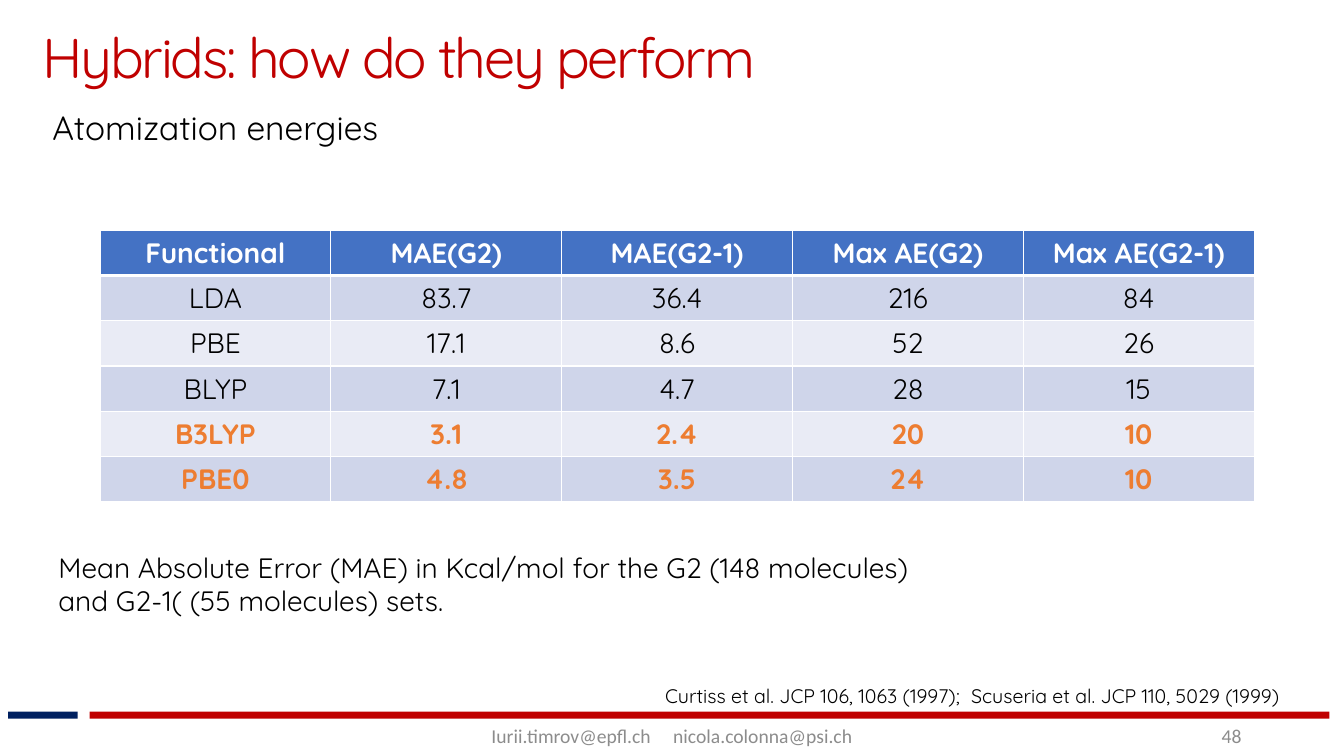
from typing import NamedTuple

from lxml.etree import SubElement
from pptx import Presentation
from pptx.dml.color import RGBColor
from pptx.enum.shapes import MSO_SHAPE
from pptx.enum.text import MSO_ANCHOR as Anchor
from pptx.enum.text import MSO_AUTO_SIZE as AutoSize
from pptx.enum.text import PP_ALIGN as Align
from pptx.oxml.ns import qn
from pptx.util import Pt

RED, NAVY, BLUE = "C00000", "002060", "4472C4"
BLACK, WHITE, GRAY, ORANGE = "000000", "FFFFFF", "8C8C8C", "ED7D31"
BANDS = ("CFD5EA", "E9EBF5")
ROW_HEIGHT = 28.8


class Box(NamedTuple):
    left: float
    top: float
    width: float
    height: float

    def lengths(self) -> list:
        return [Pt(value) for value in self]


class Bar(NamedTuple):
    box: Box
    color: str


class Label(NamedTuple):
    box: Box
    lines: list
    style: dict
    anchor: Anchor = Anchor.TOP
    wrap: bool = True


class Row(NamedTuple):
    values: tuple
    fill: str
    color: str = BLACK
    bold: bool = False
    line_below: float = 1


FOOTER = {"font": "Calibri", "size": 14, "color": GRAY}
BARS = [
    Bar(Box(5.8, 508.3, 49.7, 5), NAVY),
    Bar(Box(64.1, 508.3, 885.6, 5), RED),
]
# Each line is a tuple of parts, set apart by a wide space
LABELS = [
    Label(Box(318, 511.2, 324, 28.8),
          [("Iurii.timrov@epfl.ch", "nicola.colonna@psi.ch")],
          {**FOOTER, "align": Align.CENTER, "gap": 12.6}, Anchor.MIDDLE),
    Label(Box(678, 511.2, 216, 28.8), [("48",)],
          {**FOOTER, "align": Align.RIGHT}, Anchor.MIDDLE),
    Label(Box(30.4, 72.7, 261.4, 36.3), [("Atomization energies",)],
          {"size": 24}, wrap=False),
    Label(Box(34.6, 389.5, 802, 55.7),
          [("Mean Absolute Error (MAE) in Kcal/mol for the G2 (148 molecules)",),
           ("and G2-1( (55 molecules) sets.",)], {"size": 20}),
    Label(Box(468, 485.3, 491.8, 24.2),
          [("Curtiss et al. JCP 106, 1063 (1997);",
            "Scuseria et al. JCP 110, 5029 (1999)")],
          {"size": 14, "gap": 4}),
]
ROWS = [
    Row(("Functional", "MAE(G2)", "MAE(G2-1)", "Max AE(G2)", "Max AE(G2-1)"),
        BLUE, WHITE, True, 3),
    Row(("LDA", "83.7", "36.4", "216", "84"), BANDS[0]),
    Row(("PBE", "17.1", "8.6", "52", "26"), BANDS[1]),
    Row(("BLYP", "7.1", "4.7", "28", "15"), BANDS[0]),
    Row(("B3LYP", "3.1", "2.4", "20", "10"), BANDS[1], ORANGE, True),
    Row(("PBE0", "4.8", "3.5", "24", "10"), BANDS[0], ORANGE, True),
]


def paint(target, color: str) -> None:
    """Give a fill one solid colour."""
    target.solid()
    target.fore_color.rgb = RGBColor.from_string(color)


def write(frame, lines: list, *, size: float, color: str = BLACK,
          font: str = "Quicksand", bold: bool = False,
          align: Align = Align.LEFT, spacing: float = 0, gap: float = 0) -> None:
    """Write one paragraph per line, widening the space between its parts."""
    for number, parts in enumerate(lines):
        paragraph = frame.add_paragraph() if number else frame.paragraphs[0]
        paragraph.alignment = align
        pieces = [(parts[0], spacing)]
        for part in parts[1:]:
            pieces += [(" ", gap), (part, spacing)]
        for text, extra in pieces:
            run = paragraph.add_run()
            run.text = text
            run.font.name, run.font.size, run.font.bold = font, Pt(size), bold
            paint(run.font.fill, color)
            if extra:
                run.font._element.set("spc", str(round(extra * 100)))


def add_bar(slide, bar: Bar) -> None:
    shape = slide.shapes.add_shape(MSO_SHAPE.RECTANGLE, *bar.box.lengths())
    shape.shadow.inherit = False
    paint(shape.fill, bar.color)
    shape.line.fill.background()


def add_label(slide, label: Label) -> None:
    frame = slide.shapes.add_textbox(*label.box.lengths()).text_frame
    frame.word_wrap = label.wrap
    frame.vertical_anchor = label.anchor
    write(frame, label.lines, **label.style)


def add_title(slide, box: Box, text: str) -> None:
    title = slide.shapes.title
    title.left, title.top, title.width, title.height = box.lengths()
    frame = title.text_frame
    frame.auto_size = AutoSize.NONE
    frame.vertical_anchor = Anchor.MIDDLE
    frame.margin_left = frame.margin_top = frame.margin_bottom = 0
    frame.margin_right = Pt(1.4)
    write(frame, [(text,)], size=40, color=RED, spacing=-1.5)


def set_border(cell, side: str, width: float) -> None:
    line = SubElement(cell._tc.get_or_add_tcPr(), qn(f"a:{side}"), w=str(Pt(width)))
    SubElement(SubElement(line, qn("a:solidFill")), qn("a:srgbClr"), val=WHITE)


def add_table(slide, box: Box, rows: list) -> None:
    table = slide.shapes.add_table(
        len(rows), len(rows[0].values), *box.lengths()).table
    line_above = 1
    for row_index, row in enumerate(rows):
        table.rows[row_index].height = Pt(ROW_HEIGHT)
        borders = {"lnL": 1, "lnR": 1, "lnT": line_above, "lnB": row.line_below}
        for column_index, value in enumerate(row.values):
            cell = table.cell(row_index, column_index)
            for side, width in borders.items():
                set_border(cell, side, width)
            paint(cell.fill, row.fill)
            write(cell.text_frame, [(value,)], size=20, color=row.color,
                  bold=row.bold, align=Align.CENTER)
        line_above = row.line_below


def main() -> None:
    presentation = Presentation()
    presentation.slide_width, presentation.slide_height = Pt(960), Pt(540)
    slide = presentation.slides.add_slide(presentation.slide_layouts[5])

    # Footer bars and title
    for bar in BARS:
        add_bar(slide, bar)
    add_title(slide, Box(30.2, 0.7, 926.6, 79.2), "Hybrids: how do they perform")

    # Error table
    add_table(slide, Box(71.5, 164.5, 824.4, ROW_HEIGHT * len(ROWS)), ROWS)

    # Subtitle, note, citation and footer
    for label in LABELS:
        add_label(slide, label)

    presentation.save("out.pptx")


if __name__ == "__main__":
    main()
